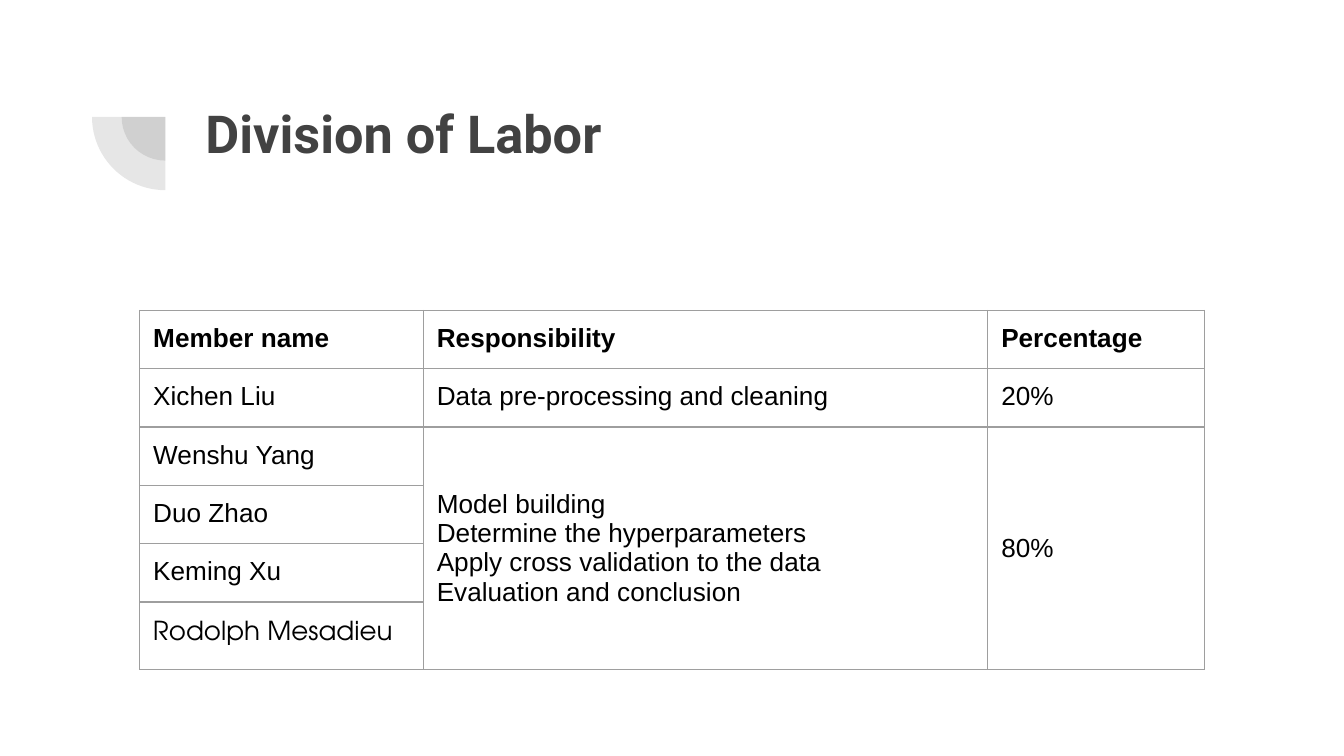
from lxml import etree
from pptx import Presentation
from pptx.dml.color import RGBColor
from pptx.enum.shapes import MSO_SHAPE
from pptx.enum.text import MSO_ANCHOR
from pptx.oxml import parse_xml
from pptx.oxml.ns import qn
from pptx.util import Inches, Pt

PIE = MSO_SHAPE.PIE
TOP, MIDDLE = MSO_ANCHOR.TOP, MSO_ANCHOR.MIDDLE

WHITE = RGBColor(0xFF, 0xFF, 0xFF)
BLACK = RGBColor(0, 0, 0)
CHARCOAL = RGBColor(0x42, 0x42, 0x42)
BORDER_GRAY = RGBColor(0x9E, 0x9E, 0x9E)

SLIDE_WIDTH = Inches(10)
SLIDE_HEIGHT = SLIDE_WIDTH * 9 // 16
PADDING = Inches(0.1)
SIDES = ("left", "top", "right", "bottom")
TITLE_FONT = {"name": "Roboto", "size": Pt(28), "bold": True}
HEADER_FONT = {"name": "Arial", "size": Pt(14), "bold": True}
BODY_FONT = {**HEADER_FONT, "bold": False}
MEMBER_FONT = {**BODY_FONT, "name": "TeX Gyre Adventor"}

COLUMN_WIDTHS = [2.11, 4.2, 1.61]
ROW_HEIGHT = 0.42
FRAME_SIZE = 3.28
DUTIES = "\n".join([
    "Model building",
    "Determine the hyperparameters",
    "Apply cross validation to the data",
    "Evaluation and conclusion",
])
LABOR_ROWS = [
    ["Member name", "Responsibility", "Percentage"],
    ["Xichen Liu", "Data pre-processing and cleaning", "20%"],
    ["Wenshu Yang", DUTIES, "80%"],
    ["Duo Zhao", "", ""],
    ["Keming Xu", "", ""],
    ["", "", ""],
]
SHARED_FIRST, SHARED_LAST = 2, 5


def write_text(frame, text, font, color):
    frame.text = text
    for paragraph in frame.paragraphs:
        for run in paragraph.runs:
            for key, value in font.items():
                setattr(run.font, key, value)
            run.font.color.rgb = color


def add_text(slide, box, text, font, color):
    frame = slide.shapes.add_textbox(*map(Inches, box)).text_frame
    frame.word_wrap = True
    frame.vertical_anchor = TOP
    for side in SIDES:
        setattr(frame, f"margin_{side}", PADDING)
    write_text(frame, text, font, color)


def add_quarter_rings(slide, center_x, center_y):
    """Two translucent quarter discs around one centre."""
    for diameter in (0.65, 1.09):
        left, top = center_x - diameter / 2, center_y - diameter / 2
        quarter = slide.shapes.add_shape(
            PIE, *map(Inches, (left, top, diameter, diameter)))
        quarter.adjustments[0] = 108  # 180 degrees
        quarter.adjustments[1] = 162  # 270 degrees
        quarter.rotation = 270
        quarter.shadow.inherit = False
        quarter.line.fill.background()
        quarter.fill.solid()
        quarter.fill.fore_color.rgb = CHARCOAL
        color = quarter.fill._xPr.find(qn("a:solidFill"))[0]
        etree.SubElement(color, qn("a:alpha"), val="13000")


def add_borders(cell):
    properties = cell._tc.get_or_add_tcPr()
    for index, side in enumerate("LRTB"):
        properties.insert(index, parse_xml(
            f'<a:ln{side} xmlns:a="http://schemas.openxmlformats.org/drawingml/2006/main" '
            f'w="{Pt(0.75)}"><a:solidFill><a:srgbClr val="{BORDER_GRAY}"/>'
            f'</a:solidFill></a:ln{side}>'))


def add_labor_table(slide, left, top):
    frame = slide.shapes.add_table(
        len(LABOR_ROWS), len(COLUMN_WIDTHS),
        *map(Inches, (left, top, FRAME_SIZE, FRAME_SIZE)))
    table = frame.table
    table.first_row = table.horz_banding = False
    for column, width in zip(table.columns, COLUMN_WIDTHS):
        column.width = Inches(width)
    for row in table.rows:
        row.height = Inches(ROW_HEIGHT)
    # Rows and columns set the drawn size; the frame keeps its own
    frame.width = frame.height = Inches(FRAME_SIZE)

    for r, texts in enumerate(LABOR_ROWS):
        for c, text in enumerate(texts):
            cell = table.cell(r, c)
            write_text(cell.text_frame, text, BODY_FONT if r else HEADER_FONT, BLACK)
            for side in SIDES:
                setattr(cell, f"margin_{side}", PADDING)
            cell.fill.background()
            add_borders(cell)

    # Duties and percentage shared by the last four members
    for c in (1, 2):
        shared = table.cell(SHARED_FIRST, c)
        shared.merge(table.cell(SHARED_LAST, c))
        shared.vertical_anchor = MIDDLE

    # Last member, set in its own typeface over the last row
    add_text(slide, (left, top + 2.16, 5.07, 0.44),
             "Rodolph Mesadieu", MEMBER_FONT, BLACK)


def main():
    deck = Presentation()
    deck.slide_width, deck.slide_height = SLIDE_WIDTH, SLIDE_HEIGHT
    slide = deck.slides.add_slide(deck.slide_layouts[6])
    slide.background.fill.solid()
    slide.background.fill.fore_color.rgb = WHITE

    add_quarter_rings(slide, 1.23, 0.87)
    add_text(slide, (1.43, 0.65, 7.69, 1.09), "Division of Labor", TITLE_FONT, CHARCOAL)
    add_labor_table(slide, 1.04, 2.31)
    deck.save("out.pptx")


if __name__ == "__main__":
    main()
